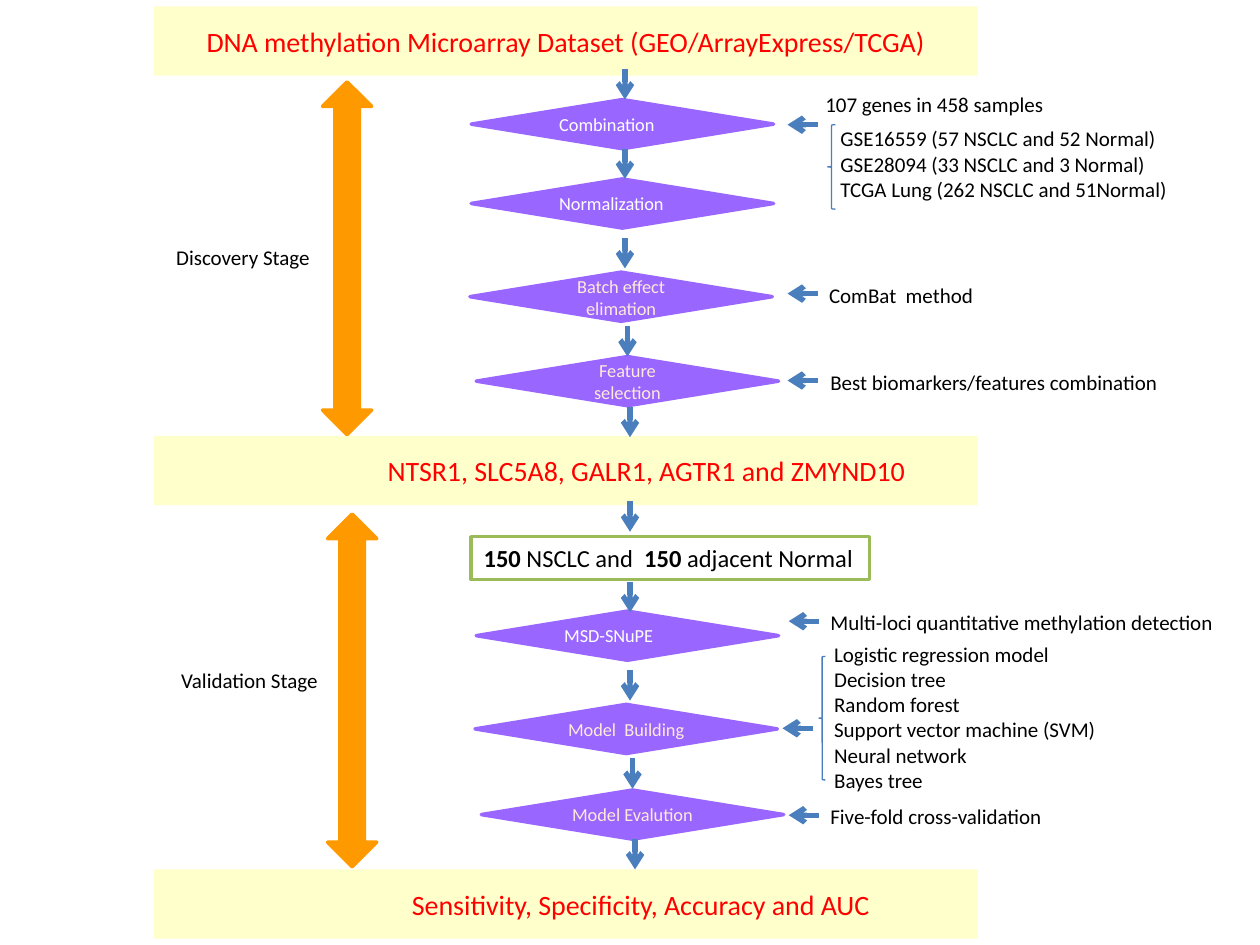
from dataclasses import dataclass

from lxml import etree
from pptx import Presentation
from pptx.dml.color import RGBColor
from pptx.enum.shapes import MSO_CONNECTOR, MSO_SHAPE
from pptx.enum.text import MSO_ANCHOR, MSO_AUTO_SIZE, PP_ALIGN
from pptx.oxml.ns import qn
from pptx.util import Inches, Pt

LEFT, CENTER = PP_ALIGN.LEFT, PP_ALIGN.CENTER
TOP, MIDDLE = MSO_ANCHOR.TOP, MSO_ANCHOR.MIDDLE
COLORS = {
    "banner": "FFFFCC", "heading": "FF0000", "step": "9966FF", "white": "FFFFFF",
    "cream": "FDEADA", "stage": "FF9900", "arrow": "4B7EBC", "cohort": "9BBB59",
    "black": "000000",
}
FONT = "Calibri"
ARROW_LENGTH = 0.24
BANNER_LEFT, BANNER_WIDTH, BANNER_HEIGHT = 1.22, 6.54, 0.55


@dataclass(frozen=True)
class Step:
    """A diamond in the workflow."""
    text: str
    left: float
    top: float
    color: str = "cream"
    align: PP_ALIGN = CENTER


@dataclass(frozen=True)
class Label:
    """A one-line caption; inset is the gap before its text."""
    text: str
    left: float
    top: float
    width: float
    inset: float = 0.1


@dataclass(frozen=True)
class Stage:
    """A double-headed arrow spanning one stage."""
    left: float
    top: float


@dataclass(frozen=True)
class Method:
    """A list of items with the brace before it."""
    lines: tuple[str, ...]
    box: tuple[float, float, float, float]
    brace: tuple[float, float, float, float]


STEPS = [
    Step("Combination", 3.74, 0.79, "white", LEFT),
    Step("Normalization", 3.74, 1.42, "white", LEFT),
    Step("Batch effect elimation", 3.73, 2.16),
    Step("Feature selection", 3.78, 2.83),
    Step("MSD-SNuPE", 3.78, 4.85, "white", LEFT),
    Step("Model  Building", 3.77, 5.59),
    Step("Model Evalution", 3.82, 6.27),
]
STAGES = [Stage(2.56, 0.65), Stage(2.6, 4.08)]
LABELS = [
    Label("Discovery Stage", 1.3, 1.89, 1.27),
    Label("Validation Stage", 1.34, 5.25, 1.3),
    Label("107 genes in 458 samples", 6.42, 0.68, 2, 0.13),
    Label("ComBat  method", 6.4, 2.19, 1.47, 0.18),
    Label("Best biomarkers/features combination", 6.38, 2.88, 2.94, 0.21),
    Label("Multi-loci quantitative methylation detection", 6.42, 4.79, 3.35, 0.17),
    Label("Five-fold cross-validation", 6.42, 6.33, 1.97, 0.17),
]
METHODS = [
    Method(("GSE16559 (57 NSCLC and 52 Normal)", "GSE28094 (33 NSCLC and 3 Normal)",
            "TCGA Lung (262 NSCLC and 51Normal)"),
           (6.57, 0.95, 2.82, 0.91), (6.57, 0.99, 0.06, 0.67)),
    Method(("Logistic regression model", "Decision tree", "Random forest",
            "Support vector machine (SVM)", "Neural network", "Bayes tree"),
           (6.52, 5.04, 2.5, 1.31), (6.5, 5.21, 0.05, 0.98)),
]
DOWN_ARROWS = [(4.96, 0.55), (4.96, 1.18), (4.96, 1.89), (4.98, 2.59), (5, 3.23),
               (5, 3.98), (5, 4.62), (5, 5.32), (5.02, 6.02), (5.04, 6.66)]
LEFT_ARROWS = [(6.25, 0.99), (6.25, 2.33), (6.25, 3.02),
               (6.26, 4.93), (6.21, 5.78), (6.26, 6.47)]


def rgb(name: str) -> RGBColor:
    """Look up a named colour."""
    return RGBColor.from_string(COLORS[name])


def write(shape, *lines: str, size: float = 12, color: str = "black",
          align: PP_ALIGN = LEFT, anchor: MSO_ANCHOR = TOP,
          inset: float = 0.1, right: float = 0.05) -> None:
    """Write one paragraph per line; parts between asterisks are bold."""
    frame = shape.text_frame
    frame.auto_size = MSO_AUTO_SIZE.NONE
    frame.word_wrap = True
    frame.vertical_anchor = anchor
    frame.margin_left, frame.margin_right = Inches(inset), Inches(right)
    frame.margin_top = frame.margin_bottom = Inches(0.05)
    for number, line in enumerate(lines):
        paragraph = frame.add_paragraph() if number else frame.paragraphs[0]
        paragraph.alignment = align
        paragraph.space_before = Pt(0)
        for part, text in enumerate(line.split("*")):
            if text:
                run = paragraph.add_run()
                run.text = text
                run.font.name, run.font.size = FONT, Pt(size)
                run.font.bold = part % 2 == 1
                run.font.color.rgb = rgb(color)


def place(shape, left: float, top: float, width: float, height: float) -> None:
    """Move and size a placeholder."""
    shape.left, shape.top = Inches(left), Inches(top)
    shape.width, shape.height = Inches(width), Inches(height)


def paint(shape, fill: str | None, line: str | None = None, weight: float = 2) -> None:
    """Set fill and outline; None leaves that part empty."""
    if fill:
        shape.fill.solid()
        shape.fill.fore_color.rgb = rgb(fill)
    else:
        shape.fill.background()
    if line:
        shape.line.color.rgb = rgb(line)
        shape.line.width = Pt(weight)
    else:
        shape.line.fill.background()


def add_preset(slide, kind: MSO_SHAPE, box: tuple[float, float, float, float],
               fill: str | None, line: str | None = None, weight: float = 2):
    """Add a painted preset shape without shadow."""
    shape = slide.shapes.add_shape(kind, *map(Inches, box))
    shape.shadow.inherit = False
    paint(shape, fill, line, weight)
    return shape


def add_arrow(slide, start: tuple[float, float], end: tuple[float, float]) -> None:
    """Add a straight arrow from start to end."""
    arrow = slide.shapes.add_connector(MSO_CONNECTOR.STRAIGHT, *map(Inches, start + end))
    arrow.line.color.rgb = rgb("arrow")
    arrow.line.width = Pt(3)
    etree.SubElement(arrow.line._get_or_add_ln(), qn("a:tailEnd"), type="arrow")
    etree.SubElement(arrow._element.spPr, qn("a:effectLst"))


def fill_banner(banner, text: str, inset: float = 0.1) -> None:
    """Paint a banner and write its heading."""
    paint(banner, "banner")
    write(banner, text, size=16, color="heading", align=CENTER, anchor=MIDDLE,
          inset=inset, right=0.1)


def add_method(slide, body, method: Method) -> None:
    """Fill a body placeholder with an unbulleted list and add its brace."""
    place(body, *method.box)
    write(body, *method.lines)
    for paragraph in body.text_frame.paragraphs:
        properties = paragraph._p.get_or_add_pPr()
        properties.set("marL", "0")
        properties.set("indent", "0")
        etree.SubElement(properties, qn("a:buNone"))
    add_preset(slide, MSO_SHAPE.LEFT_BRACE, method.brace, None, "arrow", 0.75)


def main() -> None:
    """Build the workflow slide."""
    deck = Presentation()
    deck.slide_width, deck.slide_height = Inches(10), Inches(7.5)
    slide = deck.slides.add_slide(deck.slide_layouts[3])

    title = slide.shapes.title
    place(title, BANNER_LEFT, 0.05, BANNER_WIDTH, BANNER_HEIGHT)
    fill_banner(title, "DNA methylation Microarray Dataset (GEO/ArrayExpress/TCGA)")
    for text, top, inset in [("NTSR1, SLC5A8, GALR1, AGTR1 and ZMYND10", 3.46, 1.38),
                             ("Sensitivity, Specificity, Accuracy and AUC", 6.9, 1.29)]:
        box = (BANNER_LEFT, top, BANNER_WIDTH, BANNER_HEIGHT)
        fill_banner(add_preset(slide, MSO_SHAPE.RECTANGLE, box, "banner"), text, inset)

    for stage in STAGES:
        add_preset(slide, MSO_SHAPE.UP_DOWN_ARROW, (stage.left, stage.top, 0.39, 2.8),
                   "stage", "stage")
    for step in STEPS:
        diamond = add_preset(slide, MSO_SHAPE.FLOWCHART_DECISION,
                             (step.left, step.top, 2.4, 0.39), "step", "step")
        write(diamond, step.text, size=10.5, color=step.color, align=step.align,
              anchor=MIDDLE, right=0.1)
    cohort = add_preset(slide, MSO_SHAPE.RECTANGLE, (3.74, 4.26, 3.16, 0.34),
                        "white", "cohort")
    write(cohort, "*150* NSCLC and  *150* adjacent Normal", size=14)

    for x, y in DOWN_ARROWS:
        add_arrow(slide, (x, y), (x, y + ARROW_LENGTH))
    for x, y in LEFT_ARROWS:
        add_arrow(slide, (x + ARROW_LENGTH, y), (x, y))
    for label in LABELS:
        caption = slide.shapes.add_textbox(*map(Inches, (label.left, label.top,
                                                         label.width, 0.3)))
        write(caption, label.text, inset=label.inset)
    for index, method in enumerate(METHODS, start=1):
        add_method(slide, slide.placeholders[index], method)

    deck.save("out.pptx")


main()
